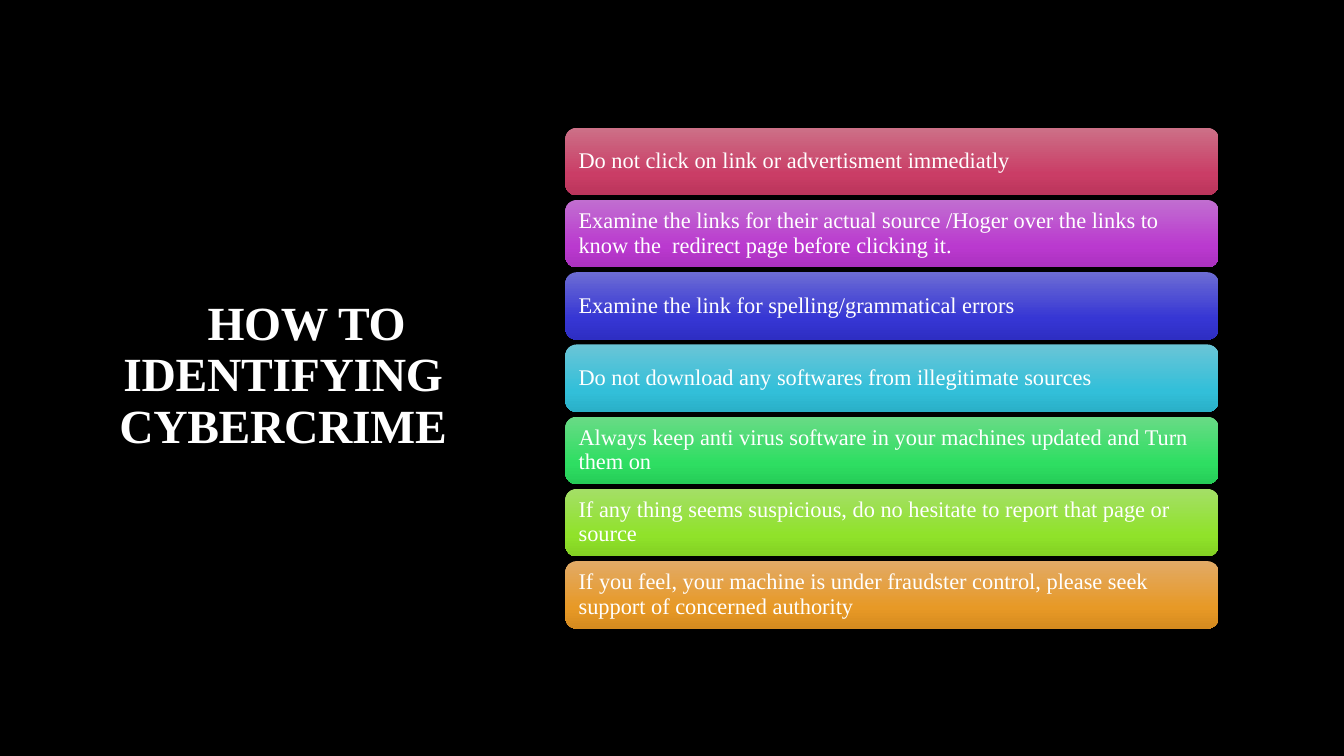
"""Build a slide of seven coloured tips on spotting cybercrime."""
from copy import deepcopy
from dataclasses import dataclass

from pptx import Presentation, util as u
from pptx.dml.color import RGBColor
from pptx.enum import shapes as s, text as t
from pptx.oxml import ns

BLACK = RGBColor(0, 0, 0)
WHITE = RGBColor(255, 255, 255)
ROSE = RGBColor(0xCC, 0x70, 0x87), RGBColor(0xCA, 0x3D, 0x66), RGBColor(0xBA, 0x35, 0x5B)
PURPLE = RGBColor(0xC1, 0x6E, 0xD0), RGBColor(0xBA, 0x39, 0xCF), RGBColor(0xAB, 0x31, 0xBF)
BLUE = RGBColor(0x6C, 0x6C, 0xD4), RGBColor(0x36, 0x36, 0xD4), RGBColor(0x2E, 0x2E, 0xC3)
CYAN = RGBColor(0x6A, 0xC5, 0xD7), RGBColor(0x32, 0xBF, 0xD9), RGBColor(0x2A, 0xB0, 0xC8)
GREEN = RGBColor(0x69, 0xDB, 0x86), RGBColor(0x2E, 0xDE, 0x62), RGBColor(0x26, 0xCD, 0x58)
LIME = RGBColor(0xA4, 0xDF, 0x67), RGBColor(0x90, 0xE2, 0x2A), RGBColor(0x83, 0xD1, 0x23)
ORANGE = RGBColor(0xE2, 0xAA, 0x66), RGBColor(0xE7, 0x99, 0x26), RGBColor(0xD6, 0x8B, 0x1F)
STOPS = 0, 0.69, 1
FONT = "Times New Roman"
LEFT, TOP, WIDTH, HEIGHT, PITCH = 14.25, 3.22, 16.46, 1.7, 1.82


@dataclass
class Tip:
    """Hold the wording and gradient of one bar."""
    words: str
    tones: tuple[RGBColor, RGBColor, RGBColor]


TIPS = [
    Tip("Do not click on link or advertisment immediatly", ROSE),
    Tip("Examine the links for their actual source /Hoger over the links to "
        "know the  redirect page before clicking it.", PURPLE),
    Tip("Examine the link for spelling/grammatical errors", BLUE),
    Tip("Do not download any softwares from illegitimate sources", CYAN),
    Tip("Always keep anti virus software in your machines updated and Turn them on", GREEN),
    Tip("If any thing seems suspicious, do no hesitate to report that page or source", LIME),
    Tip("If you feel, your machine is under fraudster control, please seek "
        "support of concerned authority", ORANGE),
]


def write(shape, words: str, *, size: float, after: float, bold: bool = False,
          align=t.PP_ALIGN.LEFT, indent: float = 0, track: float = 0) -> None:
    """Put formatted text in a shape."""
    frame = shape.text_frame
    frame.word_wrap = True
    frame.vertical_anchor = t.MSO_ANCHOR.MIDDLE
    frame.margin_left = frame.margin_right = u.Cm(0.25)
    para = frame.paragraphs[0]
    para.alignment = align
    para.line_spacing = 0.9
    para.space_after = u.Pt(after)
    if indent:
        para._p.get_or_add_pPr().set("indent", str(u.Cm(indent)))
    run = para.add_run()
    run.text = words
    font = run.font
    font.name, font.size, font.bold = FONT, u.Pt(size), bold
    font.color.rgb = WHITE
    if track:
        run._r.get_or_add_rPr().set("spc", str(round(track * 100)))


def shade(shape, tones: tuple[RGBColor, RGBColor, RGBColor]) -> None:
    """Fill a shape with a top-down gradient of three tones."""
    fill = shape.fill
    fill.gradient()
    fill.gradient_angle = 270
    stops = shape.element.spPr.find(ns.qn("a:gradFill")).find(ns.qn("a:gsLst"))
    stops.append(deepcopy(stops[-1]))
    for stop, place, tone in zip(fill.gradient_stops, STOPS, tones):
        stop.position = place
        stop.color.rgb = tone


def draw(slide, row: int, tip: Tip) -> None:
    """Draw one tip as a rounded bar."""
    bar = slide.shapes.add_shape(
        s.MSO_SHAPE.ROUNDED_RECTANGLE, u.Cm(LEFT), u.Cm(TOP + row * PITCH),
        u.Cm(WIDTH), u.Cm(HEIGHT))
    bar.shadow.inherit = False
    bar.line.fill.background()
    shade(bar, tip.tones)
    write(bar, tip.words, size=16, after=5.6)


def main() -> None:
    """Build and save the slide."""
    deck = Presentation()
    deck.slide_width, deck.slide_height = u.Cm(33.87), u.Cm(19.05)
    slide = deck.slides.add_slide(deck.slide_layouts[6])
    back = slide.background.fill
    back.solid()
    back.fore_color.rgb = BLACK
    title = slide.shapes.add_textbox(u.Cm(2.08), u.Cm(1.7), u.Cm(10.11), u.Cm(15.57))
    write(title, "HOW TO IDENTIFYING CYBERCRIME", size=34, after=6, bold=True,
          align=t.PP_ALIGN.CENTER, indent=1.18, track=-0.2)
    for row, tip in enumerate(TIPS):
        draw(slide, row, tip)
    deck.save("out.pptx")


if __name__ == "__main__":
    main()
